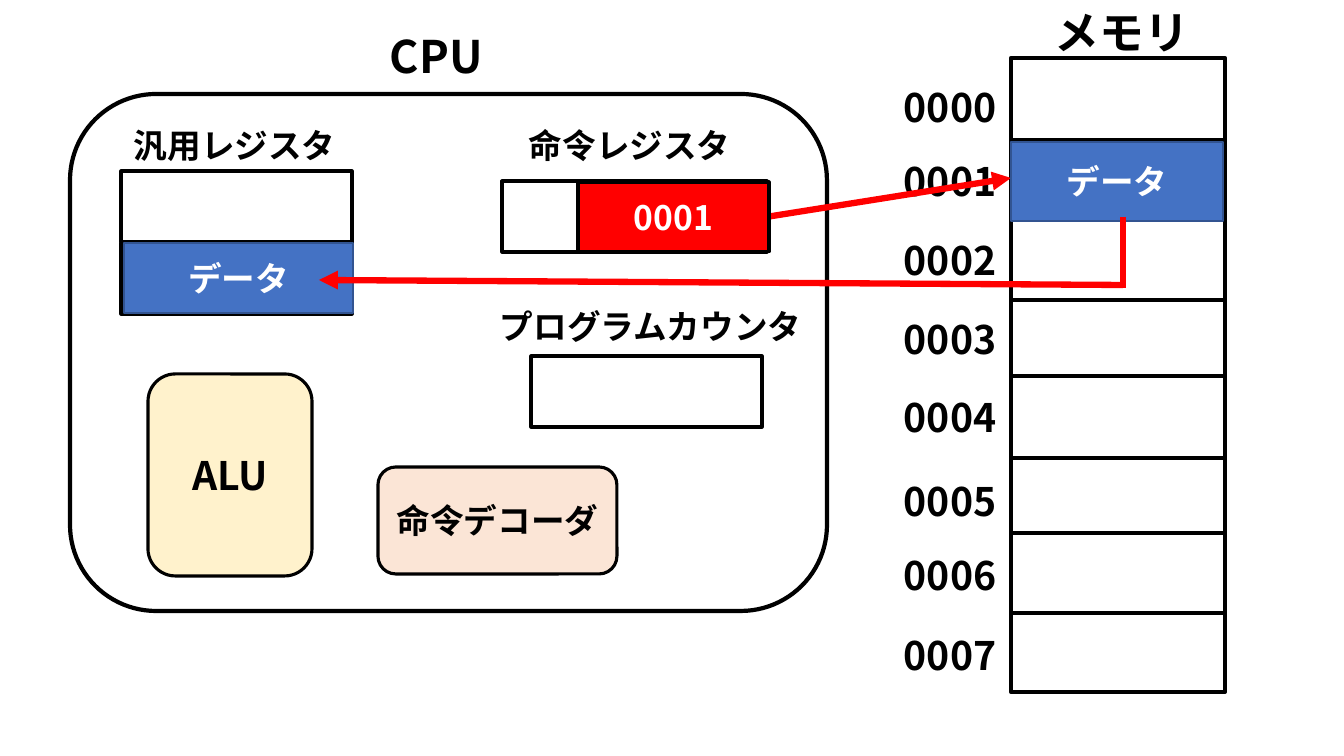
from lxml import etree
from pptx import Presentation
from pptx.dml.color import RGBColor
from pptx.enum.shapes import MSO_CONNECTOR, MSO_SHAPE
from pptx.enum.text import MSO_ANCHOR, PP_ALIGN
from pptx.oxml.ns import qn
from pptx.util import Emu, Pt

RECT, ROUNDED = MSO_SHAPE.RECTANGLE, MSO_SHAPE.ROUNDED_RECTANGLE
STRAIGHT = MSO_CONNECTOR.STRAIGHT
CENTER, LEFT = PP_ALIGN.CENTER, PP_ALIGN.LEFT
MIDDLE, TOP = MSO_ANCHOR.MIDDLE, MSO_ANCHOR.TOP

FONT = "Noto Sans CJK JP"
BLACK, WHITE, RED = "000000", "FFFFFF", "FF0000"
BLUE, DARK_BLUE = "4472C4", "325491"
CREAM, PEACH = "FFF2CC", "FBE5D6"
PIXEL = 914400 / 100.8

# Content: lengths in pixels, boxes as (left, top, width, height)
CPU = (70, 94, 757, 517)
MEMORY = (1011, 58, 214, 634)
MEMORY_DIVIDERS = [140, 217, 300, 376, 458, 533, 613]
ADDRESS_TOPS = [78, 152, 231, 310, 388, 472, 546, 626]
ADDRESS_LEFT, ADDRESS_WIDTH, ADDRESS_HEIGHT = 894, 118, 57

LABELS = [  # text, box, size
    ("メモリ", (1045, 0, 168, 65), 32),
    ("CPU", (380, 24, 136, 65), 32),
    ("命令レジスタ", (519, 120, 266, 50), 24),
    ("プログラムカウンタ", (490, 301, 326, 50), 24),
    ("汎用レジスタ", (124, 120, 326, 50), 24),
]
GENERAL_REGISTER_TOPS = [171, 243]
EMPTY_REGISTERS = [(502, 181, 265, 71), (531, 356, 231, 71)]
EMPTY_REGISTERS += [(121, top, 231, 71) for top in GENERAL_REGISTER_TOPS]
UNITS = [  # text, box, fill, size
    ("ALU", (148, 374, 164, 202), CREAM, 28),
    ("命令デコーダ", (378, 467, 239, 107), PEACH, 24),
]
VALUES = [  # text, box, fill, line, line width
    ("0001", (578, 182, 191, 70), RED, BLACK, 2.25),
    ("データ", (1011, 142, 212, 79), BLUE, DARK_BLUE, 1),
    ("データ", (124, 243, 229, 70), BLUE, DARK_BLUE, 1),
]
ADDRESS_ARROW = ((766, 217), (1011, 178))
DATA_DROP = ((1123, 217), (1123, 288))
DATA_ARROW = ((1123, 285), (319, 280))


def px(value):
    return Emu(round(value * PIXEL))


def color(value):
    return RGBColor.from_string(value)


def write(shape, text, size, font_color, align=CENTER, anchor=MIDDLE):
    frame = shape.text_frame
    frame.word_wrap = True
    frame.vertical_anchor = anchor
    paragraph = frame.paragraphs[0]
    paragraph.text = text
    paragraph.alignment = align
    font = paragraph.font
    font.size, font.bold, font.name = Pt(size), True, FONT
    font.color.rgb = color(font_color)
    # Japanese glyphs use the East Asian typeface
    defaults = paragraph._p.pPr.find(qn("a:defRPr"))
    etree.SubElement(defaults, qn("a:ea"), typeface=FONT)


def add_label(text, box, size):
    label = slide.shapes.add_textbox(*map(px, box))
    write(label, text, size, BLACK, LEFT, TOP)


def add_box(kind, box, fill=WHITE, line=BLACK, width=2.25):
    shape = slide.shapes.add_shape(kind, *map(px, box))
    shape.shadow.inherit = False
    shape.fill.solid()
    shape.fill.fore_color.rgb = color(fill)
    shape.line.color.rgb = color(line)
    shape.line.width = Pt(width)
    return shape


def add_line(start, end, line, width, arrow=False):
    connector = slide.shapes.add_connector(STRAIGHT, *map(px, start + end))
    connector.line.color.rgb = color(line)
    connector.line.width = Pt(width)
    if arrow:
        outline = connector.line._get_or_add_ln()
        etree.SubElement(outline, qn("a:tailEnd"), type="triangle")
    etree.SubElement(connector._element.spPr, qn("a:effectLst"))


presentation = Presentation()
presentation.slide_width, presentation.slide_height = px(1344), px(756)
slide = presentation.slides.add_slide(presentation.slide_layouts[6])

# CPU outline and memory cells with their addresses
add_box(ROUNDED, CPU, width=3)
add_box(RECT, MEMORY, width=3)
memory_left, memory_right = MEMORY[0], MEMORY[0] + MEMORY[2]
for y in MEMORY_DIVIDERS:
    add_line((memory_left, y), (memory_right, y), BLACK, 3)
for address, top in enumerate(ADDRESS_TOPS):
    add_label(f"{address:04d}", (ADDRESS_LEFT, top, ADDRESS_WIDTH, ADDRESS_HEIGHT), 28)

# Titles, registers and processing units
for text, box, size in LABELS:
    add_label(text, box, size)
for box in EMPTY_REGISTERS:
    add_box(RECT, box)
for text, box, fill, size in UNITS:
    write(add_box(ROUNDED, box, fill), text, size, BLACK)

# Values in transit and the arrows between them
add_line(*ADDRESS_ARROW, RED, 4.5, arrow=True)
for text, box, fill, line, width in VALUES:
    write(add_box(RECT, box, fill, line, width), text, 24, WHITE)
add_line(*DATA_DROP, RED, 4.5)
add_line(*DATA_ARROW, RED, 4.5, arrow=True)

presentation.save("out.pptx")
